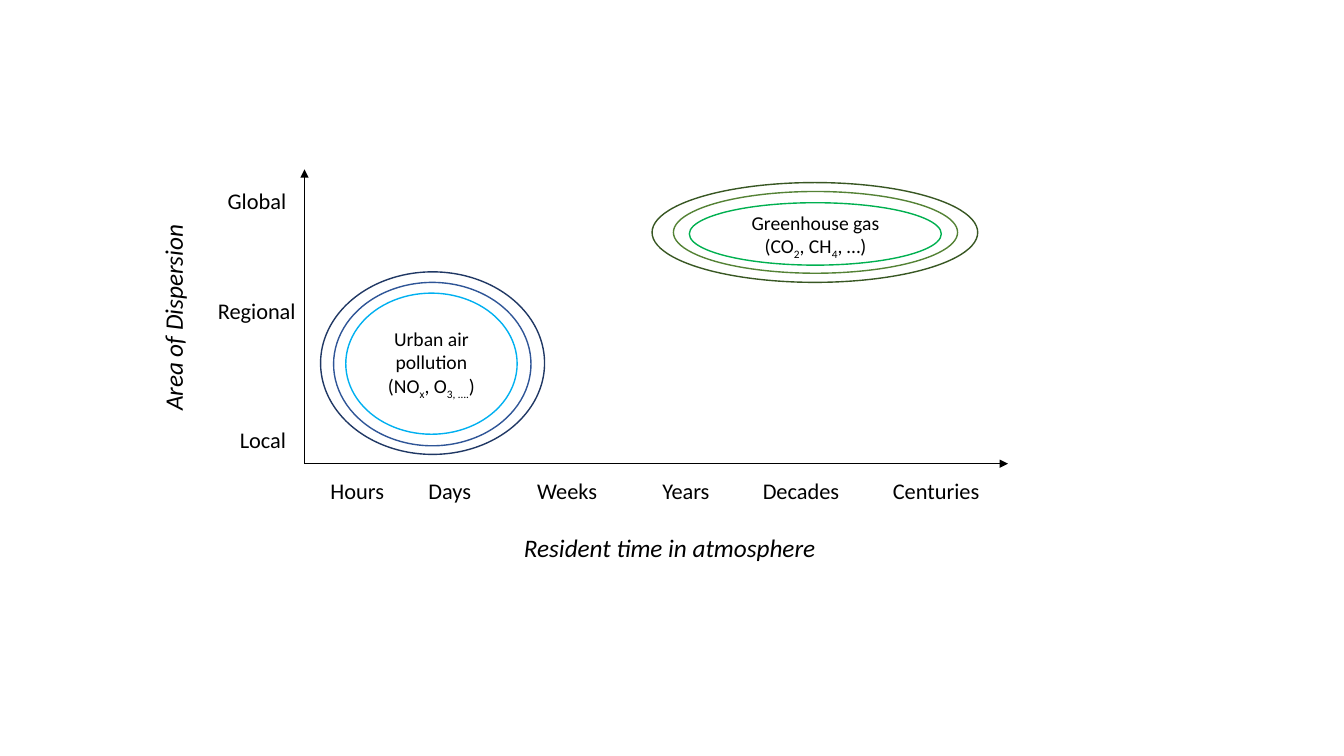
from dataclasses import dataclass

from lxml import etree
from pptx import Presentation
from pptx import util as u
from pptx.dml.color import RGBColor
from pptx.enum import shapes, text
from pptx.oxml import ns

FONT = "Calibri"
BLACK = "000000"


@dataclass
class Label:
    text: str
    left: float
    top: float
    width: float
    height: float = 26.6
    size: float = 16
    italic: bool = False
    rotation: float = 0
    centred: bool = False


@dataclass
class Ring:
    left: float
    top: float
    width: float
    height: float
    color: str
    text: str = ""


@dataclass
class Axis:
    x: float
    y: float


ORIGIN = Axis(217.5, 331.2)
AXIS_ENDS = [Axis(720, 331.2), Axis(217.5, 121)]
DISPERSION = [
    Label("Global", 155.5, 130.3, 57),
    Label("Regional", 148.5, 208.8, 70.5),
    Label("Local", 164.2, 301, 48.2),
]
RESIDENCE = [
    Label(name, left, 337.2, width)
    for name, left, width in [
        ("Hours", 229, 53.3),
        ("Days", 299, 45.4),
        ("Weeks", 376.6, 58.3),
        ("Years", 466, 49),
        ("Decades", 537.8, 69.8),
        ("Centuries", 630.7, 77),
    ]
]
RINGS = [
    Ring(247, 209.4, 122.4, 100.8, "00B0F0", "Urban air pollution (NO|x|, O|3, ….|)"),
    Ring(229, 194.2, 160, 130.4, "203864"),
    Ring(238.3, 201.7, 141, 116.7, "2F5597"),
    Ring(465.8, 130.4, 232.6, 71.3, "385723"),
    Ring(481, 136.8, 203, 58.4, "548235"),
    Ring(492.4, 144.8, 180, 44.6, "00B050"),
]
GREENHOUSE = Label("Greenhouse gas\n(CO|2|, CH|4|, …)", 529.2, 146.9, 106.6, 41, size=14, centred=True)
TITLES = [
    Label("Resident time in atmosphere", 367.2, 376.6, 227.5, 28.8, size=18, italic=True),
    Label("Area of Dispersion", 49, 211.7, 149, 28.8, size=18, italic=True, rotation=270),
]


def rgb(color: str) -> RGBColor:
    return RGBColor.from_string(color)


def write(tf, content: str, *, size: float = 14, italic: bool = False,
          centred: bool = False, color: str = BLACK) -> None:
    for i, line in enumerate(content.split("\n")):
        p = tf.add_paragraph() if i else tf.paragraphs[0]
        p.alignment = text.PP_ALIGN.CENTER if centred else text.PP_ALIGN.LEFT
        for j, part in enumerate(line.split("|")):
            r = p.add_run()
            r.text = part
            r.font.name = FONT
            r.font.size = u.Pt(size)
            r.font.italic = italic
            r.font.color.rgb = rgb(color)
            if j % 2:
                r._r.get_or_add_rPr().set("baseline", "-25000")


def add_label(s, label: Label) -> None:
    sp = s.shapes.add_textbox(u.Pt(label.left), u.Pt(label.top), u.Pt(label.width), u.Pt(label.height))
    sp.rotation = label.rotation
    tf = sp.text_frame
    tf.word_wrap = False
    tf.auto_size = text.MSO_AUTO_SIZE.SHAPE_TO_FIT_TEXT
    write(tf, label.text, size=label.size, italic=label.italic, centred=label.centred)


def add_ring(s, ring: Ring) -> None:
    sp = s.shapes.add_shape(shapes.MSO_SHAPE.OVAL, u.Pt(ring.left), u.Pt(ring.top),
                            u.Pt(ring.width), u.Pt(ring.height))
    sp.shadow.inherit = False
    sp.fill.background()
    sp.line.color.rgb = rgb(ring.color)
    sp.line.width = u.Pt(1)
    if ring.text:
        tf = sp.text_frame
        tf.word_wrap = True
        tf.vertical_anchor = text.MSO_ANCHOR.MIDDLE
        write(tf, ring.text, centred=True)


def add_axis(s, end: Axis) -> None:
    line = s.shapes.add_connector(shapes.MSO_CONNECTOR.STRAIGHT, u.Pt(ORIGIN.x), u.Pt(ORIGIN.y),
                                  u.Pt(end.x), u.Pt(end.y))
    line.line.color.rgb = rgb(BLACK)
    line.line.width = u.Pt(0.5)
    etree.SubElement(line.line._get_or_add_ln(), ns.qn("a:tailEnd"), type="triangle")
    etree.SubElement(line._element.spPr, ns.qn("a:effectLst"))


def main() -> None:
    prs = Presentation()
    prs.slide_width, prs.slide_height = u.Pt(960), u.Pt(540)
    s = prs.slides.add_slide(prs.slide_layouts[6])
    for end in AXIS_ENDS:
        add_axis(s, end)
    for label in DISPERSION + RESIDENCE:
        add_label(s, label)
    for ring in RINGS:
        add_ring(s, ring)
    for label in [GREENHOUSE] + TITLES:
        add_label(s, label)
    prs.save("out.pptx")


if __name__ == "__main__":
    main()
